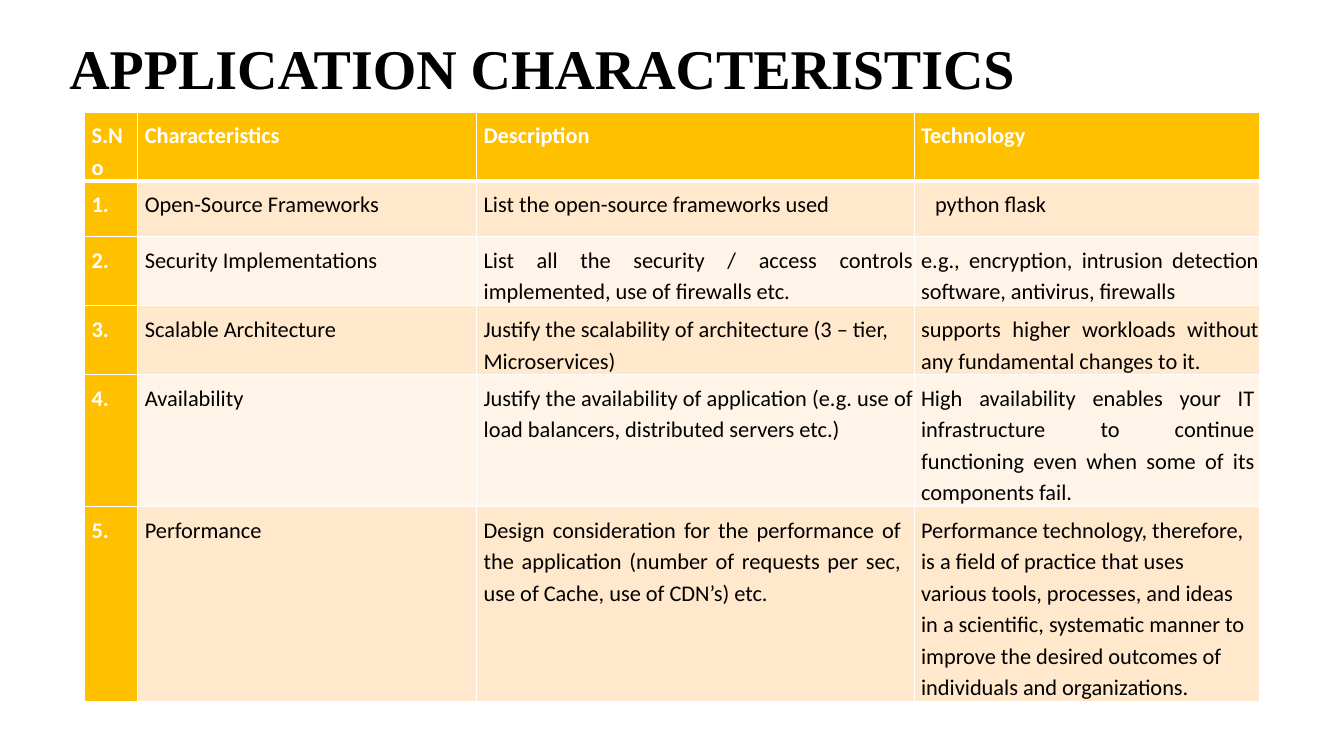
from lxml import etree
from pptx import Presentation
from pptx import util as u
from pptx.dml.color import RGBColor
from pptx.enum import text
from pptx.oxml.ns import qn

COLORS = {"amber": "FFC000", "peach": "FFE8CC", "cream": "FFF4E7",
          "white": "FFFFFF", "black": "000000"}
LEFT, JUSTIFY = text.PP_ALIGN.LEFT, text.PP_ALIGN.JUSTIFY
HEADINGS = ["S.N o", "Characteristics", "Description", "Technology"]
# Name, then (wording, alignment, left indent, right indent) for the last two columns
ROWS = [
    ("Open-Source Frameworks",
     ("List the open-source frameworks used", LEFT, 0, 0),
     ("python flask", LEFT, 10, 0)),
    ("Security Implementations",
     ("List all the security / access controls implemented, "
      "use of firewalls etc.", JUSTIFY, 0, 0),
     ("e.g., encryption, intrusion detection software, antivirus, firewalls",
      JUSTIFY, 0, 0)),
    ("Scalable Architecture",
     ("Justify the scalability of architecture (3 – tier, Microservices)", LEFT, 0, 0),
     ("supports higher workloads without any fundamental changes to it.",
      JUSTIFY, 0, 0)),
    ("Availability",
     ("Justify the availability of application (e.g. use of load balancers, "
      "distributed servers etc.)", JUSTIFY, 0, 0),
     ("High availability enables your IT infrastructure to continue functioning "
      "even when some of its components fail.", JUSTIFY, 0, 3)),
    ("Performance",
     ("Design consideration for the performance of the application (number of "
      "requests per sec, use of Cache, use of CDN’s) etc.", JUSTIFY, 0, 8.5),
     ("Performance technology, therefore, is a field of practice that uses various "
      "tools, processes, and ideas in a scientific, systematic manner to improve "
      "the desired outcomes of individuals and organizations.", LEFT, 0, 3)),
]
COLUMN_WIDTHS = [38, 242, 312.5, 247]
ROW_HEIGHTS = [49.5, 39.5, 49.5, 49, 94.5, 139]


def style_font(font, name, size, color, bold):
    font.name, font.size, font.bold = name, u.Pt(size), bold
    font.color.rgb = RGBColor.from_string(COLORS[color])


def add_title(page, left, top, width, height):
    box = page.shapes.add_textbox(u.Pt(left), u.Pt(top), u.Pt(width), u.Pt(height))
    frame = box.text_frame
    frame.word_wrap = True
    frame.vertical_anchor = text.MSO_ANCHOR.MIDDLE
    para = frame.paragraphs[0]
    para.text = "APPLICATION CHARACTERISTICS"
    para.line_spacing = 0.9
    style_font(para.font, "Times New Roman", 40, "black", True)


def set_borders(cell, bottom_width):
    properties = cell._tc.get_or_add_tcPr()
    widths = {"a:lnL": 1, "a:lnR": 1, "a:lnT": 1, "a:lnB": bottom_width}
    for position, (side, width) in enumerate(widths.items()):
        line = etree.Element(qn(side), w=str(u.Pt(width)))
        fill = etree.SubElement(line, qn("a:solidFill"))
        etree.SubElement(fill, qn("a:srgbClr"), val=COLORS["white"])
        properties.insert(position, line)


def fill_cell(cell, content, fill, strong, bottom_width):
    wording, alignment, left_indent, right_indent = content
    cell.margin_left, cell.margin_top = u.Pt(5), u.Pt(4.5)
    cell.margin_right, cell.margin_bottom = u.Pt(0.75), u.Pt(0)
    cell.fill.solid()
    cell.fill.fore_color.rgb = RGBColor.from_string(COLORS[fill])
    set_borders(cell, bottom_width)
    para = cell.text_frame.paragraphs[0]
    para.text, para.alignment, para.line_spacing = wording, alignment, 1.15
    style_font(para.font, "Calibri", 16, "white" if strong else "black", strong)
    for side, indent in (("marL", left_indent), ("marR", right_indent)):
        if indent:
            para._p.get_or_add_pPr().set(side, str(u.Pt(indent)))


def add_characteristics(page, left, top):
    frame = page.shapes.add_table(
        len(ROW_HEIGHTS), len(COLUMN_WIDTHS), u.Pt(left), u.Pt(top),
        u.Pt(sum(COLUMN_WIDTHS)), u.Pt(sum(ROW_HEIGHTS)))
    table = frame.table
    table.first_col = True
    for column, width in zip(table.columns, COLUMN_WIDTHS):
        column.width = u.Pt(width)
    for row, height in zip(table.rows, ROW_HEIGHTS):
        row.height = u.Pt(height)

    # Header row
    for column, heading in enumerate(HEADINGS):
        fill_cell(table.cell(0, column), (heading, LEFT, 0, 0), "amber", True, 3)

    # Numbered rows in alternating bands
    for number, (name, description, technology) in enumerate(ROWS, 1):
        band = "peach" if number % 2 else "cream"
        contents = [(f"{number}.", LEFT, 0, 0), (name, LEFT, 0, 0),
                    description, technology]
        for column, content in enumerate(contents):
            strong = column == 0
            fill_cell(table.cell(number, column), content,
                      "amber" if strong else band, strong, 1)


deck = Presentation()
deck.slide_width, deck.slide_height = u.Pt(960), u.Pt(540)
page = deck.slides.add_slide(deck.slide_layouts[6])
add_title(page, 42.5, 13.5, 828, 75)
add_characteristics(page, 60.5, 80)
deck.save("out.pptx")
